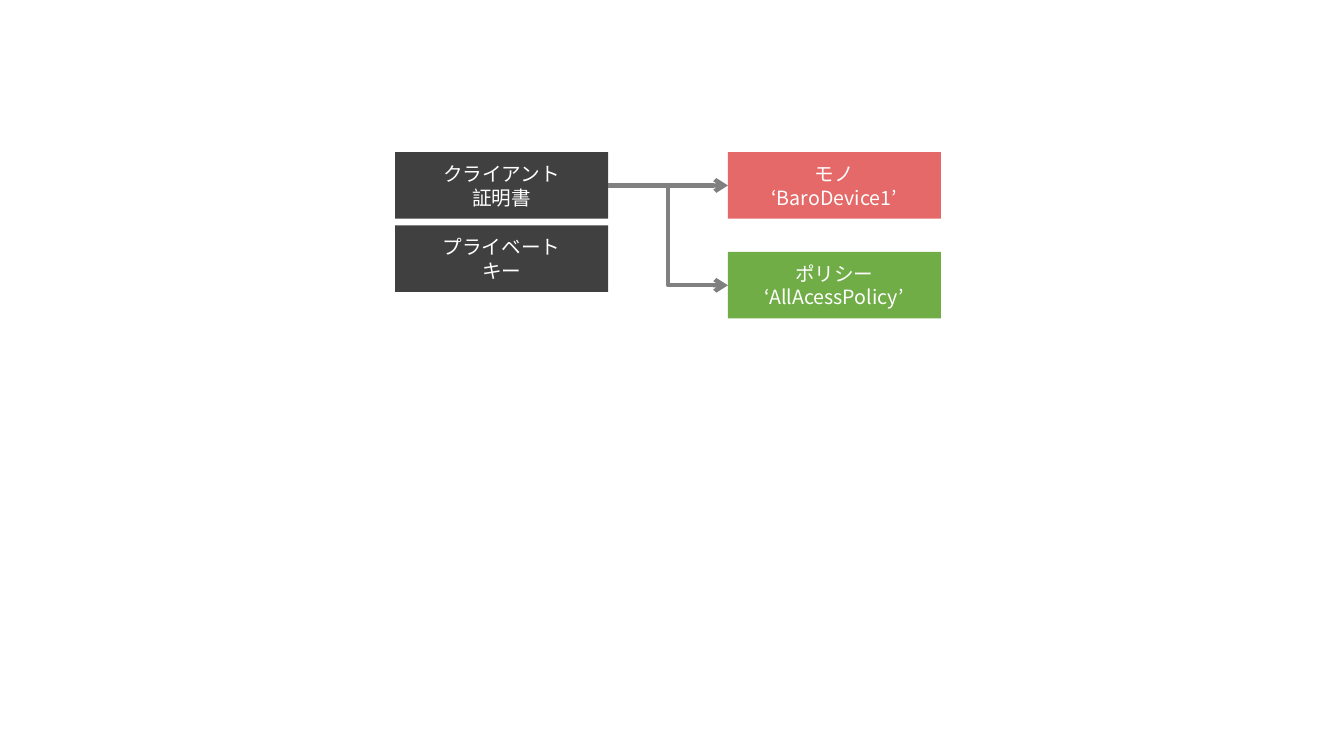
from dataclasses import dataclass

from lxml import etree
from pptx import Presentation
from pptx.dml.color import RGBColor
from pptx.enum.shapes import MSO_CONNECTOR, MSO_SHAPE
from pptx.enum.text import MSO_ANCHOR, PP_ALIGN
from pptx.oxml.ns import qn
from pptx.util import Inches, Pt

RECT = MSO_SHAPE.RECTANGLE
LINE = MSO_CONNECTOR.STRAIGHT
BENT = MSO_CONNECTOR.ELBOW
MIDDLE = MSO_ANCHOR.MIDDLE
CENTER = PP_ALIGN.CENTER
RIGHT, LEFT = 3, 1


@dataclass(frozen=True)
class Theme:
    dark: str = "404040"
    red: str = "E56969"
    green: str = "70AD47"
    gray: str = "808080"
    white: str = "FFFFFF"
    face: str = "Noto Sans CJK JP"
    size: int = 14
    line: int = 3


def apply(item, form):
    for name, value in form.items():
        setattr(item, name, value)


class Board:
    left, top, unit = 3.92, 1.51, 0.33
    wide, high = 6.4, 2

    def __init__(self, slide, theme):
        self.slide = slide
        self.theme = theme

    def place(self, col, row):
        return Inches(self.left + col * self.unit), Inches(self.top + row * self.unit)

    def box(self, col, row, lines, color):
        size = [Inches(n * self.unit) for n in (self.wide, self.high)]
        box = self.slide.shapes.add_shape(RECT, *self.place(col, row), *size)
        box.shadow.inherit = False
        box.fill.solid()
        box.fill.fore_color.rgb = RGBColor.from_string(color)
        box.line.fill.background()
        frame = box.text_frame
        apply(frame, {"word_wrap": True, "vertical_anchor": MIDDLE})
        frame.text = "\n".join(lines)
        for para in frame.paragraphs:
            para.alignment = CENTER
            self.style(para.runs[0].font)
        return box

    def style(self, font):
        apply(font, {"name": self.theme.face, "size": Pt(self.theme.size)})
        font.color.rgb = RGBColor.from_string(self.theme.white)
        for tag in ("a:ea", "a:cs"):
            etree.SubElement(font._element, qn(tag), typeface=self.theme.face)

    def arrow(self, kind, start, end):
        link = self.slide.shapes.add_connector(kind, 0, 0, 0, 0)
        link.begin_connect(start, RIGHT)
        link.end_connect(end, LEFT)
        link.line.width = Pt(self.theme.line)
        link.line.color.rgb = RGBColor.from_string(self.theme.gray)
        etree.SubElement(link.line._get_or_add_ln(), qn("a:tailEnd"), type="arrow")
        etree.SubElement(link._element.spPr, qn("a:effectLst"))


def main():
    deck = Presentation()
    apply(deck, {"slide_width": Inches(13.33), "slide_height": Inches(7.5)})
    theme = Theme()
    board = Board(deck.slides.add_slide(deck.slide_layouts[6]), theme)
    policy = board.box(10, 3, ("ポリシー", "‘AllAcessPolicy’"), theme.green)
    cert = board.box(0, 0, ("クライアント", "証明書"), theme.dark)
    thing = board.box(10, 0, ("モノ", "‘BaroDevice1’"), theme.red)
    board.box(0, 2.2, ("プライベート", "キー"), theme.dark)
    board.arrow(LINE, cert, thing)
    board.arrow(BENT, cert, policy)
    deck.save("out.pptx")


if __name__ == "__main__":
    main()
